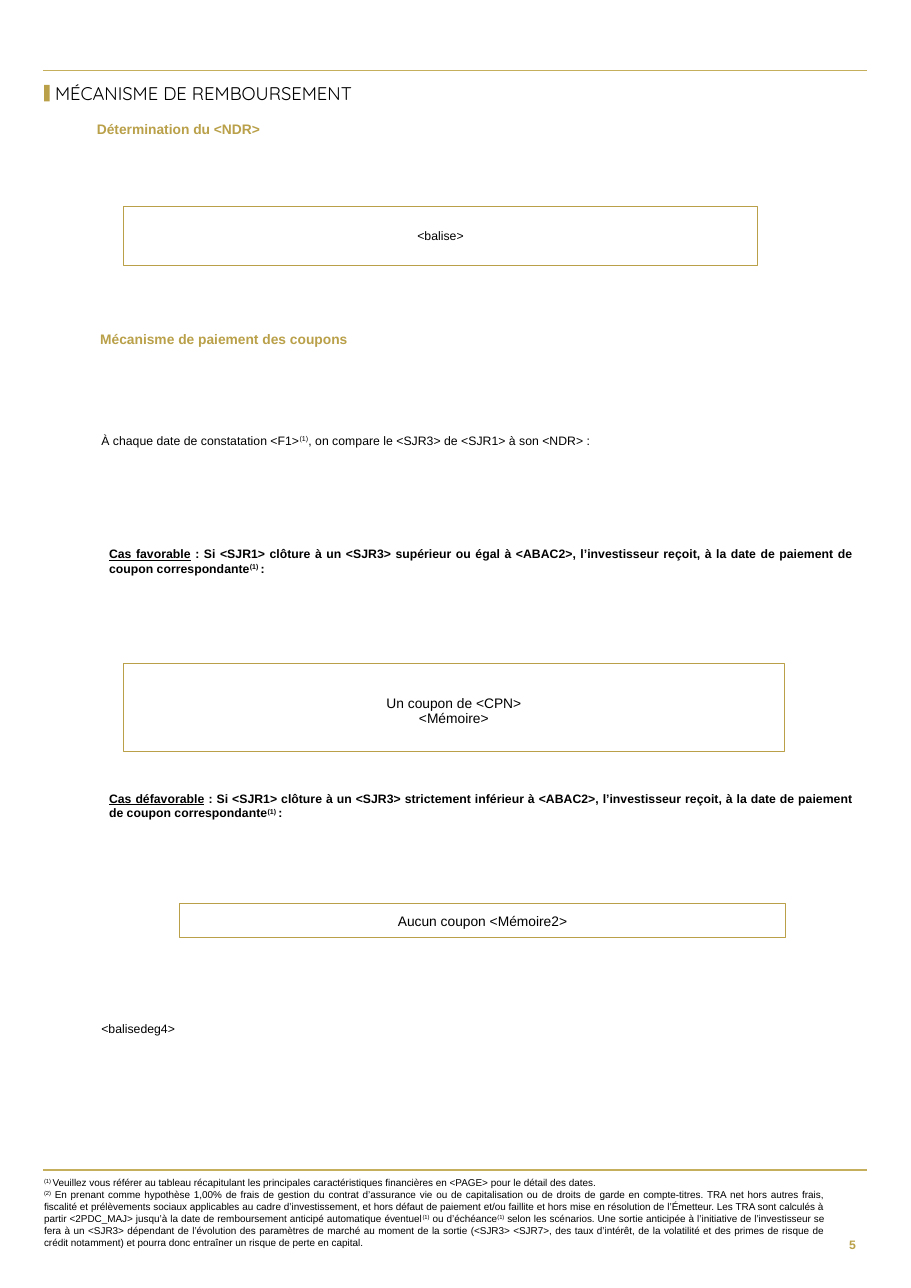
from dataclasses import dataclass
from typing import NamedTuple

from lxml.etree import SubElement
from pptx import Presentation
from pptx.dml.color import RGBColor
from pptx.enum.shapes import MSO_CONNECTOR, MSO_SHAPE
from pptx.enum.text import MSO_ANCHOR, MSO_AUTO_SIZE, PP_ALIGN
from pptx.oxml.ns import qn
from pptx.util import Emu, Pt

PX = 9144


class Box(NamedTuple):
    """A rectangle in px, 100 px to the inch."""
    left: int
    top: int
    width: int
    height: int

    def inner(self, left, top, width, height):
        """Return a box placed relative to this one."""
        return Box(self.left + left, self.top + top, width, height)

    def emu(self):
        """Return the four lengths in EMU."""
        return [Emu(length * PX) for length in self]


@dataclass(frozen=True)
class TextStyle:
    """Type settings of one kind of text."""
    size: float
    color: str = "000000"
    bold: bool = False
    name: str = "Arial"


class Theme:
    """Colours and type styles of the page."""
    gold = "B9A049"
    rule = "C5AF5C"
    white = "FFFFFF"
    title = TextStyle(12, name="Quicksand")
    heading = TextStyle(9, gold, True)
    body = TextStyle(8)
    case = TextStyle(8, bold=True)
    payout = TextStyle(9)
    note = TextStyle(6.5)
    page = TextStyle(8, gold, True)


def write(frame, paragraphs, style, align=PP_ALIGN.JUSTIFY, insets=(0, 0, 0, 0),
          anchor=MSO_ANCHOR.TOP, spacing=1.0):
    """Fill a frame; ^ encloses superscript and | encloses underlined text."""
    left, top, right, bottom = (Emu(inset * PX) for inset in insets)
    settings = {"word_wrap": True, "auto_size": MSO_AUTO_SIZE.NONE, "vertical_anchor": anchor,
                "margin_left": left, "margin_top": top, "margin_right": right,
                "margin_bottom": bottom}
    for key, value in settings.items():
        setattr(frame, key, value)
    for index, marked in enumerate(paragraphs):
        paragraph = frame.add_paragraph() if index else frame.paragraphs[0]
        for key, value in {"alignment": align, "line_spacing": spacing, "space_before": Pt(0)}.items():
            setattr(paragraph, key, value)
        for u, underlined in enumerate(marked.split("|")):
            for s, words in enumerate(underlined.split("^")):
                if words:
                    add_run(paragraph, words, style, u % 2 == 1, s % 2 == 1)


def add_run(paragraph, words, style, underline, superscript):
    """Append one formatted run."""
    run = paragraph.add_run()
    run.text = words
    formats = {"name": style.name, "size": Pt(style.size), "bold": style.bold,
               "underline": underline}
    for key, value in formats.items():
        setattr(run.font, key, value)
    run.font.color.rgb = RGBColor.from_string(style.color)
    if superscript:
        run.font._element.set("baseline", "30000")


def add_text(slide, box, paragraphs, style, **layout):
    """Add a text box."""
    write(slide.shapes.add_textbox(*box.emu()).text_frame, paragraphs, style, **layout)


def add_rectangle(slide, box, fill=None, line_width=None):
    """Add a rectangle with an optional fill and gold outline."""
    rectangle = slide.shapes.add_shape(MSO_SHAPE.RECTANGLE, *box.emu())
    rectangle.shadow.inherit = False
    if fill:
        rectangle.fill.solid()
        rectangle.fill.fore_color.rgb = RGBColor.from_string(fill)
    else:
        rectangle.fill.background()
    if line_width:
        rectangle.line.color.rgb = RGBColor.from_string(Theme.gold)
        rectangle.line.width = Pt(line_width)
    else:
        rectangle.line.fill.background()
    return rectangle


def add_frame(slide, box, paragraphs, style, insets, fill=Theme.white, line_width=0.75, spacing=1.0):
    """Add an outlined box with centred text."""
    frame = add_rectangle(slide, box, fill, line_width).text_frame
    write(frame, paragraphs, style, PP_ALIGN.CENTER, insets, MSO_ANCHOR.MIDDLE, spacing)


def add_rule(slide, box):
    """Draw a thin gold rule along the top of a box."""
    left, top, width, _ = box.emu()
    rule = slide.shapes.add_connector(MSO_CONNECTOR.STRAIGHT, left, top, left + width, top)
    rule.line.color.rgb = RGBColor.from_string(Theme.rule)
    rule.line.width = Pt(0.75)
    SubElement(rule._element.spPr, qn("a:effectLst"))


def build_header(slide, box):
    """Build the top rule, marker and title."""
    add_rule(slide, box)
    add_rectangle(slide, box.inner(1, 13, 5, 15), Theme.gold)
    title = slide.shapes.title
    title.left, title.top, title.width, title.height = box.inner(11, 9, 421, 25).emu()
    write(title.text_frame, ["MÉCANISME DE REMBOURSEMENT"], Theme.title, PP_ALIGN.LEFT,
          anchor=MSO_ANCHOR.MIDDLE, spacing=0.9)


def build_level(slide, box):
    """Build the section on the reference level."""
    add_text(slide, box.inner(0, 0, 317, 18), ["Détermination du <NDR>"], Theme.heading,
             align=PP_ALIGN.LEFT, insets=(20, 0, 0, 0))
    add_frame(slide, box.inner(44, 77, 576, 54), ["<balise>"], Theme.body,
              (12, 20, 12, 20), fill=None, line_width=0.5)


def build_coupons(slide, box):
    """Build the section on coupon payments and its two cases."""
    add_text(slide, box.inner(0, 0, 677, 17), ["Mécanisme de paiement des coupons"],
             Theme.heading, insets=(20, 0, 0, 0))
    add_text(slide, box.inner(21, 93, 657, 13),
             ["À chaque date de constatation <F1>^(1)^, on compare le <SJR3> de <SJR1> à son <NDR> :"],
             Theme.body)
    cases = [("favorable", "supérieur ou égal", 196), ("défavorable", "strictement inférieur", 418)]
    for name, comparison, top in cases:
        add_text(slide, box.inner(28, top, 676, 27),
                 [f"|Cas {name}| : Si <SJR1> clôture à un <SJR3> {comparison} à <ABAC2>, "
                  "l’investisseur reçoit, à la date de paiement de coupon correspondante^(1) ^:"],
                 Theme.case)
    add_frame(slide, box.inner(41, 302, 600, 80), ["Un coupon de <CPN>", "<Mémoire>"],
              Theme.payout, (12, 15, 12, 8), spacing=0.9)
    add_frame(slide, box.inner(92, 520, 550, 31), ["Aucun coupon <Mémoire2>"],
              Theme.payout, (12, 8, 12, 8))
    add_text(slide, box.inner(21, 627, 676, 13), ["<balisedeg4>"], Theme.body)


def build_footer(slide, box):
    """Build the bottom rule, notes and page number."""
    add_rule(slide, box)
    notes = [
        "^(1) ^Veuillez vous référer au tableau récapitulant les principales caractéristiques "
        "financières en <PAGE> pour le détail des dates.",
        "^(2)^ En prenant comme hypothèse 1,00% de frais de gestion du contrat d’assurance vie ou de "
        "capitalisation ou de droits de garde en compte-titres. TRA net hors autres frais, fiscalité "
        "et prélèvements sociaux applicables au cadre d’investissement, et hors défaut de paiement "
        "et/ou faillite et hors mise en résolution de l’Émetteur. Les TRA sont calculés à partir "
        "<2PDC_MAJ> jusqu’à la date de remboursement anticipé automatique éventuel^(1)^ ou "
        "d’échéance^(1)^ selon les scénarios. Une sortie anticipée à l’initiative de l’investisseur "
        "se fera à un <SJR3> dépendant de l’évolution des paramètres de marché au moment de la sortie "
        "(<SJR3> <SJR7>, des taux d’intérêt, de la volatilité et des primes de risque de crédit "
        "notamment) et pourra donc entraîner un risque de perte en capital.",
    ]
    add_text(slide, box.inner(1, 6, 709, 66), notes, Theme.note)
    add_text(slide, box.inner(709, 47, 39, 42), ["5"], Theme.page, align=PP_ALIGN.RIGHT,
             insets=(10, 5, 10, 5), anchor=MSO_ANCHOR.MIDDLE)


def main():
    """Build and save the page."""
    deck = Presentation()
    deck.slide_width, deck.slide_height = Emu(827 * PX), Emu(1169 * PX)
    slide = deck.slides.add_slide(deck.slide_layouts[5])
    build_header(slide, Box(39, 64, 748, 34))
    build_level(slide, Box(68, 110, 620, 131))
    build_coupons(slide, Box(71, 300, 704, 640))
    build_footer(slide, Box(39, 1062, 748, 89))
    deck.save("out.pptx")


if __name__ == "__main__":
    main()
